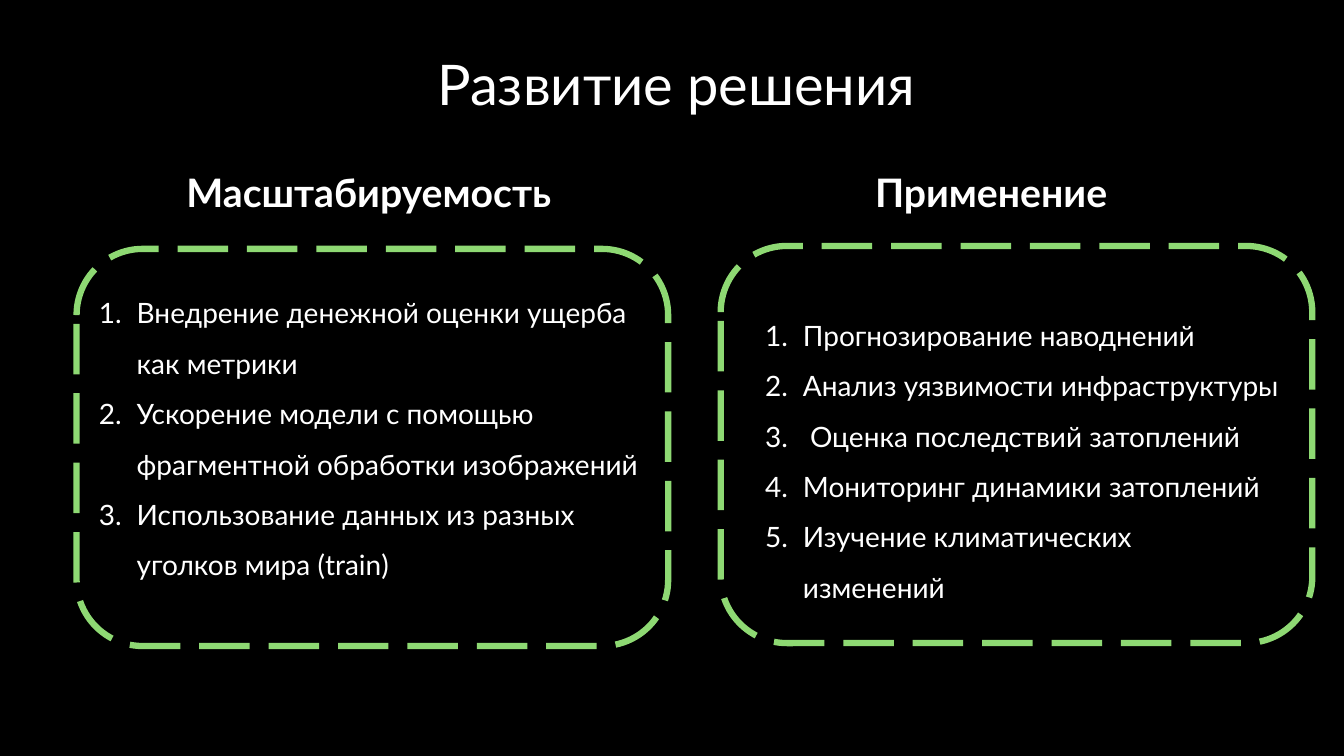
"""Builds the slide on developing the solution: two headed, framed numbered lists."""
from lxml.etree import SubElement
from pptx import Presentation
from pptx.dml.color import RGBColor
from pptx.enum.dml import MSO_LINE
from pptx.enum.shapes import MSO_SHAPE
from pptx.enum.text import MSO_ANCHOR, MSO_AUTO_SIZE, PP_ALIGN
from pptx.oxml.ns import qn
from pptx.util import Pt


def color(value):
    return RGBColor.from_string(value)


def write(box, place, lines, size, bold=False, align=PP_ALIGN.LEFT, spacing=1.0, numbered=False):
    box.left, box.top, box.width, box.height = [Pt(length) for length in place]
    frame = box.text_frame
    frame.text = "\n".join(lines)
    frame.vertical_anchor = MSO_ANCHOR.TOP
    frame.auto_size = MSO_AUTO_SIZE.SHAPE_TO_FIT_TEXT
    frame.word_wrap = True
    for para in frame.paragraphs:
        if numbered:
            properties = para._p.get_or_add_pPr()
            properties.set("marL", str(Pt(27)))
            properties.set("indent", str(Pt(-27)))
            SubElement(properties, qn("a:buFont"), typeface="+mj-lt")
            SubElement(properties, qn("a:buAutoNum"), type="arabicPeriod")
        para.alignment = align
        para.line_spacing = spacing
        para.space_before = Pt(0)
        for span in para.runs:
            span.font.name = "Lato"
            span.font.size = Pt(size)
            span.font.bold = bold
            span.font.color.rgb = color("FFFFFF")


deck = Presentation()
deck.slide_width, deck.slide_height = Pt(960), Pt(540)
page = deck.slides.add_slide(deck.slide_layouts.get_by_name("Comparison"))
page.background.fill.solid()
page.background.fill.fore_color.rgb = color("000000")

title = page.shapes.title
write(title, (43.9, -100, 878.4, 187.9), ["Развитие решения"], 40, align=PP_ALIGN.CENTER, spacing=0.9)
title.text_frame.vertical_anchor = MSO_ANCHOR.BOTTOM
title.text_frame.auto_size = MSO_AUTO_SIZE.NONE

columns = [
    ("Масштабируемость", (126, 116.6, 280, 41), (54.7, 177.8), (63.4, 195.8, 406, 247), [
        "Внедрение денежной оценки ущерба как метрики",
        "Ускорение модели с помощью фрагментной обработки изображений",
        "Использование данных из разных уголков мира (train)",
    ]),
    ("Применение", (617.8, 116.6, 186.5, 41), (514.8, 175.7), (539.3, 211.7, 382.3, 186), [
        "Прогнозирование наводнений",
        "Анализ уязвимости инфраструктуры",
        " Оценка последствий затоплений",
        "Мониторинг динамики затоплений",
        "Изучение климатических изменений",
    ]),
]
for index, (heading, heading_place, corner, list_place, items) in enumerate(columns):
    border = page.shapes.add_shape(
        MSO_SHAPE.ROUNDED_RECTANGLE, Pt(corner[0]), Pt(corner[1]), Pt(422.6), Pt(283.7))
    border.shadow.inherit = False
    border.fill.background()
    border.line.color.rgb = color("8ED973")
    border.line.width = Pt(4.5)
    border.line.dash_style = MSO_LINE.LONG_DASH

    heading_box = page.placeholders[1 + 2 * index]
    write(heading_box, heading_place, [heading], 28, bold=True)
    heading_box.text_frame.word_wrap = False
    write(page.placeholders[2 + 2 * index], list_place, items, 20, spacing=1.5, numbered=True)

deck.save("out.pptx")
